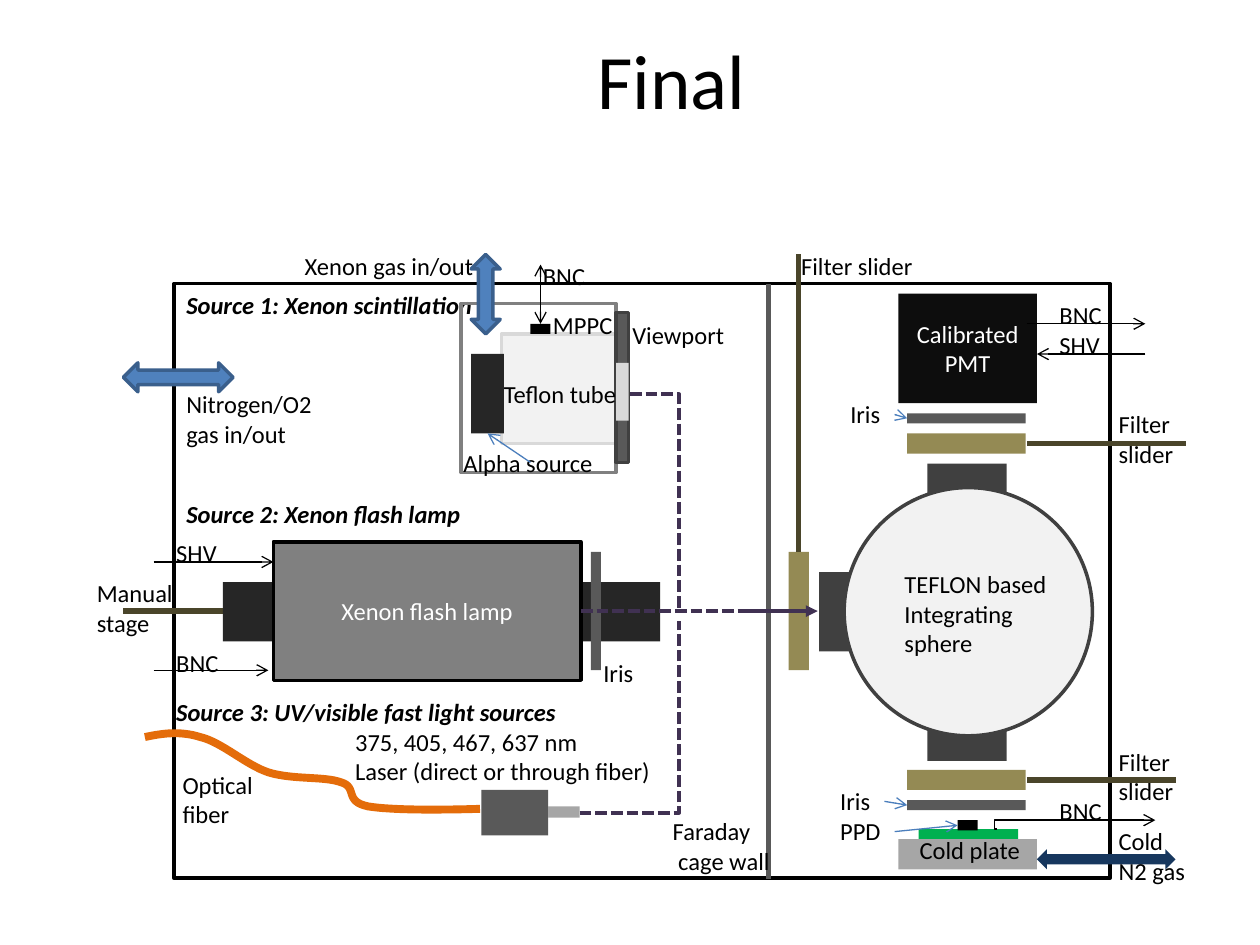
import pptx
import pptx.util
import pptx.dml.color
import pptx.enum.dml
import pptx.enum.shapes
import pptx.enum.text
import lxml.etree
from pptx.oxml.ns import qn

Inches, Pt = pptx.util.Inches, pptx.util.Pt
RGBColor = pptx.dml.color.RGBColor
Shape = pptx.enum.shapes.MSO_SHAPE
Connector = pptx.enum.shapes.MSO_CONNECTOR
Anchor = pptx.enum.text.MSO_ANCHOR
Align = pptx.enum.text.PP_ALIGN

BLACK = RGBColor(0x00, 0x00, 0x00)
WHITE = RGBColor(0xFF, 0xFF, 0xFF)
PMT_BLACK = RGBColor(0x0D, 0x0D, 0x0D)
CHARCOAL = RGBColor(0x26, 0x26, 0x26)
DARK_GREY = RGBColor(0x40, 0x40, 0x40)
IRIS_GREY = RGBColor(0x59, 0x59, 0x59)
MID_GREY = RGBColor(0x80, 0x80, 0x80)
PLATE_GREY = RGBColor(0xA6, 0xA6, 0xA6)
LIGHT_GREY = RGBColor(0xD9, 0xD9, 0xD9)
TEFLON = RGBColor(0xF2, 0xF2, 0xF2)
GREEN = RGBColor(0x00, 0xB0, 0x50)
ORANGE = RGBColor(0xE4, 0x6C, 0x0A)
KHAKI = RGBColor(0x94, 0x8A, 0x54)
ROD = RGBColor(0x4A, 0x45, 0x2A)
BLUE = RGBColor(0x4F, 0x81, 0xBD)
BLUE_EDGE = RGBColor(0x3A, 0x5F, 0x8C)
POINTER = RGBColor(0x4B, 0x7E, 0xBC)
NAVY = RGBColor(0x17, 0x37, 0x5E)
BEAM = RGBColor(0x40, 0x31, 0x52)


def write_text(shape, text, size=14, color=BLACK, strong=False, align=Align.LEFT,
               anchor=Anchor.TOP, wrap=False):
    """Fill a shape with one paragraph per line of text."""
    frame = shape.text_frame
    frame.word_wrap = wrap
    frame.vertical_anchor = anchor
    for index, words in enumerate(text.split("\n")):
        para = frame.paragraphs[0] if index == 0 else frame.add_paragraph()
        para.alignment = align
        span = para.add_run()
        span.text = words
        span.font.name = "Calibri"
        span.font.size = Pt(size)
        span.font.color.rgb = color
        span.font.bold = span.font.italic = strong


class Region:
    """Draws items at offsets, in inches, from the corner of a region."""

    def __init__(self, page, left, top):
        self.shapes, self.left, self.top = page.shapes, left, top

    def place(self, x, y):
        return Inches(self.left + x), Inches(self.top + y)

    def label(self, text, x, y, width, height=None, **text_format):
        height = height or (0.34 if "\n" not in text else 0.57)
        box = self.shapes.add_textbox(*self.place(x, y), Inches(width), Inches(height))
        write_text(box, text, **text_format)
        if not text_format.get("wrap"):
            box.text_frame.auto_size = pptx.enum.text.MSO_AUTO_SIZE.SHAPE_TO_FIT_TEXT

    def block(self, x, y, width, height, fill=None, edge=None, kind=Shape.RECTANGLE, text=None):
        shape = self.shapes.add_shape(kind, *self.place(x, y), Inches(width), Inches(height))
        shape.shadow.inherit = False
        if fill is None:
            shape.fill.background()
        else:
            shape.fill.solid()
            shape.fill.fore_color.rgb = fill
        if edge is None:
            shape.line.fill.background()
        else:
            shape.line.color.rgb = edge
            shape.line.width = Pt(2)
        if text:
            write_text(shape, text, color=WHITE, align=Align.CENTER, anchor=Anchor.MIDDLE, wrap=True)

    def line(self, start, end, color=BLACK, width=0.75, dashed=False, head=None, tail=None,
             bend=None, adjust=None):
        kind = Connector.ELBOW if bend else Connector.STRAIGHT
        link = self.shapes.add_connector(kind, *self.place(*start), *self.place(*end))
        link.line.color.rgb = color
        link.line.width = Pt(width)
        if dashed:
            link.line.dash_style = pptx.enum.dml.MSO_LINE.SQUARE_DOT
        properties = link._element.spPr
        for tag, arrow in (("a:headEnd", head), ("a:tailEnd", tail)):
            if arrow:
                lxml.etree.SubElement(properties.find(qn("a:ln")), qn(tag), type=arrow)
        lxml.etree.SubElement(properties, qn("a:effectLst"))
        if bend:
            geometry = properties.find(qn("a:prstGeom"))
            geometry.set("prst", bend)
            if adjust is not None:
                guides = geometry.find(qn("a:avLst"))
                lxml.etree.SubElement(guides, qn("a:gd"), name="adj1", fmla=f"val {adjust}")

    def curve(self, start, segments, color, width, steps=16):
        """Draw cubic curves, each given as two controls and an end."""
        points = [start]
        for first, second, end in segments:
            begin = points[-1]
            for step in range(1, steps + 1):
                t = step / steps
                weights = ((1 - t) ** 3, 3 * t * (1 - t) ** 2, 3 * t * t * (1 - t), t ** 3)
                points.append(tuple(sum(w * p[axis] for w, p in zip(weights, (begin, first, second, end)))
                                    for axis in (0, 1)))
        places = [self.place(*point) for point in points]
        builder = self.shapes.build_freeform(*places[0])
        builder.add_line_segments(places[1:], close=False)
        shape = builder.convert_to_shape()
        shape.shadow.inherit = False
        shape.fill.background()
        shape.line.color.rgb = color
        shape.line.width = Pt(width)


def draw_cage(box):
    # Outer wall, dividing wall and the nitrogen inlet
    box.block(0, 0, 7.43, 4.72, edge=BLACK)
    box.line((4.72, 0), (4.72, 4.73), IRIS_GREY, 3)
    box.label("Faraday\n cage wall", 3.86, 4.18, 0.98)
    box.block(-0.4, 0.63, 0.87, 0.23, BLUE, BLUE_EDGE, Shape.LEFT_RIGHT_ARROW)
    box.label("Nitrogen/O2\ngas in/out", 0, 0.79, 1.25)
    # Filter in front of the sphere
    box.block(4.88, 2.13, 0.16, 0.94, KHAKI)
    box.line((4.96, 2.13), (4.96, -0.23), ROD, 3)
    box.label("Filter slider", 4.88, -0.31, 1.1)


def draw_scintillation(box):
    box.label("Source 1: Xenon scintillation", -2.12, 0.25, 2.49, strong=True)
    # Chamber, tube, viewport and alpha source
    box.block(0.48, 0.65, 0.92, 0.87, TEFLON, LIGHT_GREY)
    box.block(0.16, 0.41, 1.23, 1.34, edge=MID_GREY)
    box.block(1.39, 0.48, 0.1, 1.19, IRIS_GREY, DARK_GREY)
    box.block(1.39, 0.88, 0.1, 0.46, LIGHT_GREY)
    box.block(0.24, 0.81, 0.26, 0.63, CHARCOAL)
    box.label("Teflon tube", 0.4, 0.96, 1.1)
    box.label("Alpha source", 0.08, 1.51, 1.24)
    box.line((0.71, 1.67), (0.37, 1.44), POINTER, tail="arrow")
    box.label("Viewport", 1.42, 0.49, 0.94)
    # Gas line and photon counter
    box.label("Xenon gas in/out", -1.18, -0.06, 1.55)
    box.block(0.24, 0.02, 0.23, 0.63, BLUE, BLUE_EDGE, Shape.UP_DOWN_ARROW)
    box.block(0.71, 0.57, 0.16, 0.08, BLACK)
    box.label("MPPC", 0.79, 0.41, 0.68)
    box.line((0.79, 0.57), (0.79, 0.1), head="arrow", tail="arrow")
    box.label("BNC", 0.71, 0.02, 0.58)


def draw_flash_lamp(box):
    box.label("Source 2: Xenon flash lamp", 0.38, -0.09, 2.39, strong=True)
    # Stage rod, lamp and iris
    box.line((-0.02, 0.85), (1.01, 0.85), ROD, 3)
    box.label("Manual\nstage", -0.33, 0.54, 0.94, wrap=True)
    box.block(0.77, 0.62, 3.47, 0.47, CHARCOAL)
    box.block(1.17, 0.3, 2.44, 1.1, MID_GREY, BLACK, text="Xenon flash lamp")
    box.block(3.69, 0.38, 0.08, 0.94, IRIS_GREY)
    box.label("Iris", 3.69, 1.17, 0.44)
    # Cables
    for name, line_y, label_y, end_x in (("SHV", 0.46, 0.22, 1.17), ("BNC", 1.32, 1.09, 1.13)):
        box.line((0.22, line_y), (end_x, line_y), tail="arrow")
        box.label(name, 0.3, label_y, 0.58)


def draw_laser(box):
    box.label("Source 3: UV/visible fast light sources", 0.3, -0.02, 3.24, strong=True)
    box.label("375, 405, 467, 637 nm\nLaser (direct or through fiber)", 1.72, 0.22, 2.56)
    box.block(2.82, 0.77, 0.53, 0.36, IRIS_GREY)
    box.block(3.35, 0.9, 0.25, 0.09, PLATE_GREY)
    box.curve((2.81, 0.92), [((2.45, 0.93), (2.1, 0.93), (1.92, 0.9)),
                             ((1.73, 0.86), (1.84, 0.75), (1.71, 0.71)),
                             ((1.58, 0.66), (1.32, 0.69), (1.13, 0.63)),
                             ((0.95, 0.57), (0.76, 0.39), (0.59, 0.35)),
                             ((0.43, 0.3), (0.29, 0.32), (0.15, 0.35))], ORANGE, 4.5)
    box.label("Optical\nfiber", 0.35, 0.56, 0.81)


def draw_detectors(box):
    # Integrating sphere on its ports
    box.block(0.86, 1.68, 0.63, 2.36, DARK_GREY)
    box.block(0, 2.54, 1.18, 0.63, DARK_GREY)
    box.block(0.2, 1.87, 1.97, 1.97, TEFLON, DARK_GREY, Shape.OVAL)
    box.label("TEFLON based\nIntegrating\nsphere", 0.58, 2.47, 1.34, 0.81)
    # Calibrated PMT and its cables
    box.block(0.63, 0.33, 1.1, 0.87, PMT_BLACK, text="Calibrated PMT")
    box.line((1.65, 0.57), (2.59, 0.57), tail="arrow")
    box.line((2.59, 0.81), (1.73, 0.81), tail="arrow")
    box.label("BNC", 1.81, 0.33, 0.58)
    box.label("SHV", 1.81, 0.57, 0.57)
    # Filter with slider above and below the sphere
    for filter_y, rod_end, label_y in ((1.44, 2.91, 1.2), (4.11, 2.83, 3.88)):
        box.block(0.7, filter_y, 0.94, 0.16, KHAKI)
        box.line((1.65, filter_y + 0.08), (rod_end, filter_y + 0.08), ROD, 3)
        box.label("Filter\nslider", 2.28, label_y, 0.66)
    # Iris above and below the sphere
    for iris_y, label_x, label_y, start in ((1.28, 0.15, 1.12, (0.6, 1.29)),
                                            (4.35, 0.07, 4.19, (0.52, 4.36))):
        box.block(0.7, iris_y, 0.94, 0.08, IRIS_GREY)
        box.label("Iris", label_x, label_y, 0.44)
        box.line(start, (0.7, iris_y + 0.04), POINTER, tail="arrow")
    # Cold plate with the PPD
    box.block(0.79, 4.58, 0.79, 0.08, GREEN)
    box.block(0.63, 4.66, 1.1, 0.24, PLATE_GREY)
    box.label("Cold plate", 0.7, 4.58, 1.01)
    box.block(1.1, 4.51, 0.16, 0.08, BLACK)
    box.label("PPD", 0.07, 4.43, 0.53)
    box.line((0.6, 4.6), (1.1, 4.55), POINTER, tail="arrow")
    box.line((1.41, 4.58), (2.67, 4.51), tail="arrow", bend="bentConnector3", adjust=-1500)
    box.label("BNC", 1.81, 4.27, 0.58)
    box.block(1.73, 4.74, 1.1, 0.16, NAVY, kind=Shape.LEFT_RIGHT_ARROW)
    box.label("Cold\nN2 gas", 2.28, 4.51, 0.73)


def draw_beams(box):
    # Light from the three sources joins on the way to the sphere
    beam = dict(color=BEAM, width=2.25)
    box.line((0.4, 0.13), (0.79, 1.85), dashed=True, bend="bentConnector2", **beam)
    box.line((0.01, 1.85), (1.27, 1.85), dashed=True, **beam)
    box.line((0, 3.45), (0.79, 1.93), dashed=True, bend="bentConnector2", **beam)
    box.line((1.89, 1.85), (1.27, 1.85), head="triangle", **beam)


def main():
    deck = pptx.Presentation()
    deck.slide_width, deck.slide_height = Inches(10), Inches(7.5)
    page = deck.slides.add_slide(deck.slide_layouts[6])
    Region(page, 0.83, 0).label("Final", 0, 0, 9, 1.25, size=44, align=Align.CENTER,
                                anchor=Anchor.MIDDLE, wrap=True)
    for draw, left, top in ((draw_cage, 1.38, 2.25), (draw_scintillation, 3.5, 2),
                            (draw_flash_lamp, 1, 4), (draw_laser, 1, 5.5),
                            (draw_detectors, 6.5, 2), (draw_beams, 4.6, 3)):
        draw(Region(page, left, top))
    deck.save("out.pptx")


if __name__ == "__main__":
    main()
